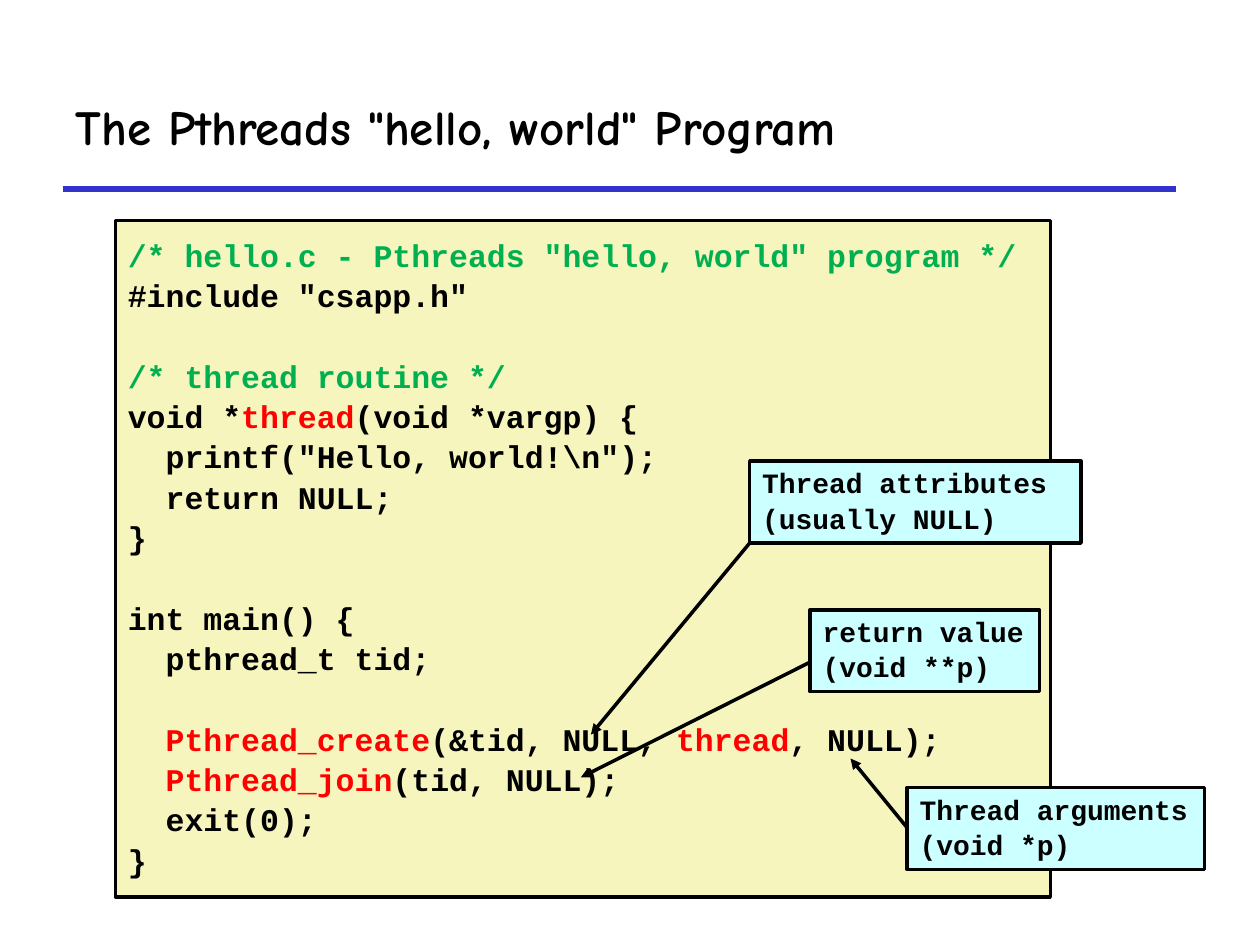
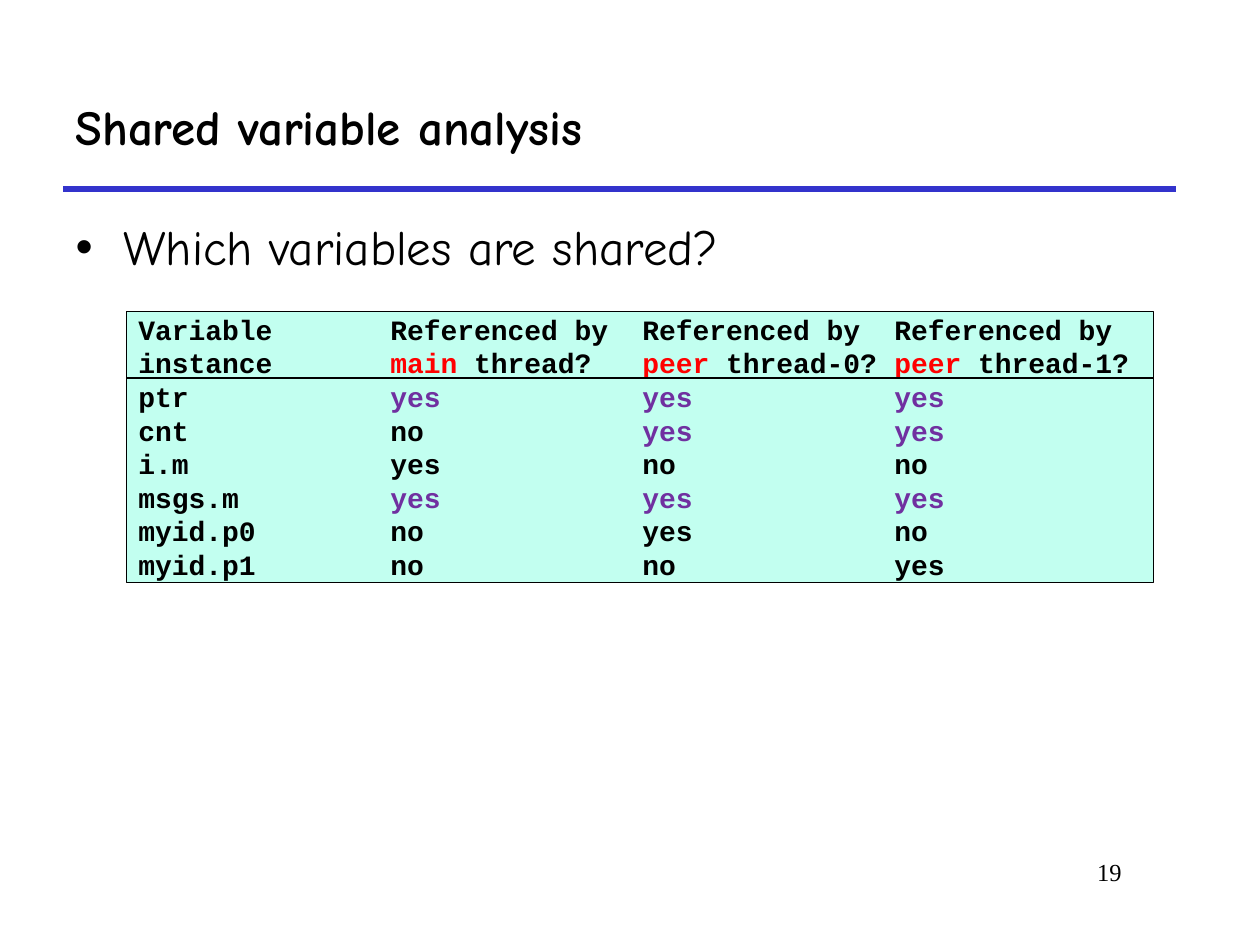
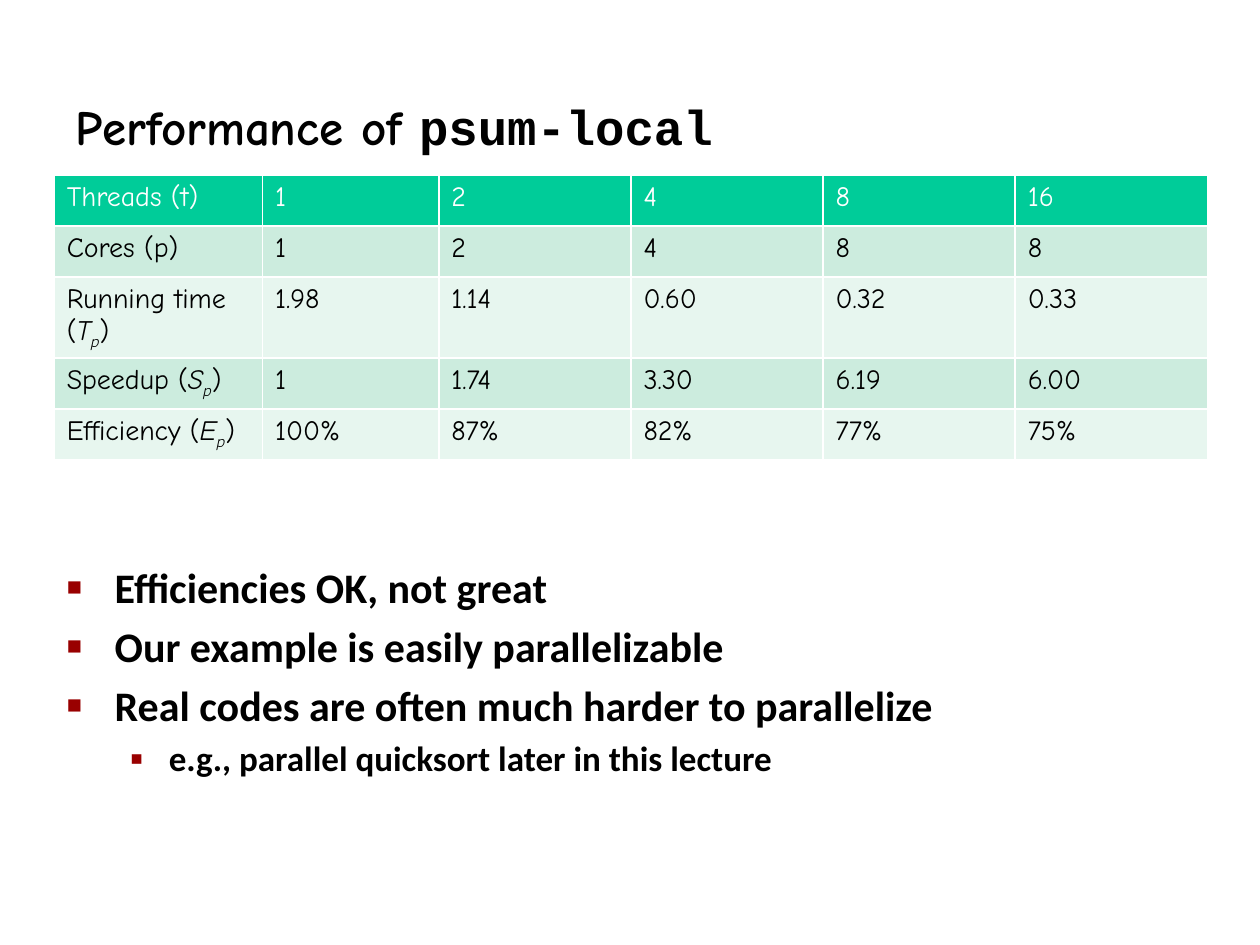
from lxml.etree import SubElement
from pptx import Presentation
from pptx.dml.color import RGBColor
from pptx.enum.shapes import MSO_CONNECTOR, MSO_SHAPE
from pptx.enum.text import MSO_ANCHOR, MSO_AUTO_SIZE, PP_ALIGN
from pptx.oxml.ns import qn
from pptx.util import Inches, Pt

COLORS = {
    "black": "000000", "white": "FFFFFF", "rule": "3333CC", "red": "FF0000",
    "green": "00B050", "purple": "7030A0", "code": "F6F5BD", "note": "CCFFFF",
    "analysis": "C2FFF0", "bullet": "990000",
    "head": "00CC99", "odd": "CCECDE", "even": "E7F6EF",
}
COMIC, MONO, TIMES, SANS = "Comic Neue", "Courier New", "Times New Roman", "Calibri"
RED, GREEN, PURPLE = ({"color": c} for c in ("red", "green", "purple"))
TITLE = dict(font=COMIC, size=28, bold=True)


def write(tf, runs, font=COMIC, size=16, color="black", bold=False, align=PP_ALIGN.LEFT,
          before=0, pitch=None, left=0, hang=0, bullet=None):
    """Add a paragraph; runs is a string or a list of (text, overrides)."""
    p = tf.add_paragraph() if tf.text else tf.paragraphs[0]
    p.alignment, p.space_before, p.space_after = align, Pt(before), Pt(0)
    if pitch:
        p.line_spacing = Pt(pitch)
    pPr = p._p.get_or_add_pPr()
    pPr.set("marL", str(Inches(left)))
    pPr.set("indent", str(-Inches(hang)))
    if bullet:
        char, bullet_color, percent = bullet
        clr = SubElement(pPr, qn("a:buClr"))
        SubElement(clr, qn("a:srgbClr"), val=COLORS[bullet_color])
        SubElement(pPr, qn("a:buSzPct"), val=str(percent * 1000))
        SubElement(pPr, qn("a:buFont"), typeface="Arial")
        SubElement(pPr, qn("a:buChar"), char=char)
    for text, own in [(runs, {})] if isinstance(runs, str) else runs:
        r = p.add_run()
        r.text = text
        r.font.name, r.font.size = own.get("font", font), Pt(size)
        r.font.bold, r.font.italic = bold, own.get("italic", False)
        r.font.color.rgb = RGBColor.from_string(COLORS[own.get("color", color)])
        if "base" in own:
            r.font._element.set("baseline", str(own["base"] * 1000))


def style(sp, width, color="black", fill=None, arrow=False):
    """Give a shape or connector its outline and fill, without a shadow."""
    if fill:
        sp.fill.solid()
        sp.fill.fore_color.rgb = RGBColor.from_string(COLORS[fill])
        sp.text_frame.word_wrap = True
        sp.text_frame.vertical_anchor = MSO_ANCHOR.MIDDLE
    sp.line.color.rgb = RGBColor.from_string(COLORS[color])
    sp.line.width = Pt(width)
    if arrow:
        SubElement(sp.line._get_or_add_ln(), qn("a:tailEnd"), type="triangle")
    SubElement(sp.element.spPr, qn("a:effectLst"))


prs = Presentation()
prs.slide_width, prs.slide_height = Inches(10), Inches(7.5)
U = prs.slide_width // 1000  # grid unit: a thousandth of the slide's width

# Shared title place, tab distance and rule
master = prs.slide_master
title = master.placeholders[0]
title.left, title.top, title.width, title.height = [U * n for n in (50, 50, 883, 100)]
title.text_frame.vertical_anchor = MSO_ANCHOR.MIDDLE
title.text_frame.auto_size = MSO_AUTO_SIZE.NONE
for root in (prs.element, master.element):
    for level in root.xpath("//*[@defTabSz]"):
        level.set("defTabSz", str(Inches(2)))

# Slides with their titles
titles = [
    (5, 'The Pthreads "hello, world" Program'),
    (1, "Shared variable analysis"),
    (1, [("Performance of ", {}), ("psum-local", {"font": MONO})]),
]
slides = []
for layout, text in titles:
    s = prs.slides.add_slide(prs.slide_layouts[layout])
    write(s.shapes.title.text_frame, text, **TITLE)
    slides.append(s)
hello, shared, psum = slides

rule = hello.shapes.add_connector(MSO_CONNECTOR.STRAIGHT, *[U * n for n in (50, 150, 933, 150)])
style(rule, 3, "rule")
master.shapes.element.append(rule.element)

# Slide 1: program listing, as (blank line above, indented, runs)
code = [
    (0, 0, [('/* hello.c - Pthreads "hello, world" program */', GREEN)]),
    (0, 0, '#include "csapp.h"'),
    (1, 0, [("/* thread routine */", GREEN)]),
    (0, 0, [("void *", {}), ("thread", RED), ("(void *vargp) {", {})]),
    (0, 1, 'printf("Hello, world!\\n");'),
    (0, 1, "return NULL;"),
    (0, 0, "}"),
    (1, 0, "int main() {"),
    (0, 1, "pthread_t tid;"),
    (1, 1, [("Pthread_create", RED), ("(&tid, NULL, ", {}), ("thread", RED), (", NULL);", {})]),
    (0, 1, [("Pthread_join", RED), ("(tid, NULL);", {})]),
    (0, 1, "exit(0);"),
    (0, 0, "}"),
]
sp = hello.shapes.add_shape(MSO_SHAPE.RECTANGLE, *[int(U * n) for n in (91.6, 175, 742, 537)])
style(sp, 2, fill="code")
for blank, indent, runs in code:
    write(sp.text_frame, runs, font=MONO, size=18, bold=True, pitch=19.5,
          before=3.55 + 23.05 * blank, left=0.3 * indent)

# Slide 1: callouts and their arrows
callouts = [
    (595, 366, 263, ["Thread attributes", "(usually NULL)"], (595, 431, 469, 583)),
    (720, 625, 236, ["Thread arguments", "(void *p)"], (720, 657, 675, 602)),
    (643, 484, 182, ["return value", "(void **p)"], (642, 526, 461, 617)),
]
for x, y, w, lines, ends in callouts:
    sp = hello.shapes.add_shape(MSO_SHAPE.RECTANGLE, *[U * n for n in (x, y, w, 65)])
    style(sp, 2, fill="note")
    for line in lines:
        write(sp.text_frame, line, font=MONO, bold=True, pitch=17, before=3.2)
    arrow = hello.shapes.add_connector(MSO_CONNECTOR.STRAIGHT, *[U * n for n in ends])
    style(arrow, 2, arrow=True)

# Slide 2: question and page number
body = shared.placeholders[1]
body.left, body.top, body.width, body.height = [U * n for n in (50, 167, 892, 83)]
write(body.text_frame, "Which variables are shared?", size=28, left=0.38, hang=0.38,
      before=5.6, bullet=("•", "black", 100))
number = shared.shapes.add_textbox(*[U * n for n in (758, 675, 142, 50)])
number.text_frame.word_wrap = True
write(number.text_frame, "19", font=TIMES, size=14, align=PP_ALIGN.RIGHT)

# Slide 2: tabbed analysis
analysis = [
    "Variable\tReferenced by\tReferenced by\tReferenced by",
    [("instance\t", {}), ("main", RED), (" thread?\t", {}), ("peer", RED),
     (" thread-0?\t", {}), ("peer", RED), (" thread-1?", {})],
    [("ptr\t", {}), ("yes\tyes\tyes", PURPLE)],
    [("cnt\tno\t", {}), ("yes\tyes", PURPLE)],
    "i.m\tyes\tno\tno",
    [("msgs.m\t", {}), ("yes\tyes\tyes", PURPLE)],
    "myid.p0\tno\tyes\tno",
    "myid.p1\tno\tno\tyes",
]
sp = shared.shapes.add_shape(MSO_SHAPE.RECTANGLE, *[U * n for n in (100, 247, 815, 215)])
style(sp, 0.25, fill="analysis")
sp.text_frame.margin_top = sp.text_frame.margin_bottom = 0
for runs in analysis:
    write(sp.text_frame, runs, font=MONO, bold=True, pitch=19.2)
divider = shared.shapes.add_connector(MSO_CONNECTOR.STRAIGHT, *[U * n for n in (100, 300, 915, 300)])
style(divider, 0.75)

# Slide 3: measurements, where a pair is a label and its subscripted symbol
rows = [
    ("Threads (t)", "1", "2", "4", "8", "16"),
    ("Cores (p)", "1", "2", "4", "8", "8"),
    (("Running time (", "T"), "1.98", "1.14", "0.60", "0.32", "0.33"),
    (("Speedup (", "S"), "1", "1.74", "3.30", "6.19", "6.00"),
    (("Efficiency (", "E"), "100%", "87%", "82%", "77%", "75%"),
]
frame = psum.shapes.add_table(len(rows), len(rows[0]), *[U * n for n in (43, 139, 915, 226)])
table = frame.table
for column, w in zip(table.columns, [165.3, 140] + [152.5] * 4):
    column.width = int(U * w)
for i, row in enumerate(rows):
    table.rows[i].height = int(U * (64 if i == 2 else 40.5))
    fill = "head" if i == 0 else "odd" if i % 2 else "even"
    for cell, value in zip(table.rows[i].cells, row):
        cell.fill.solid()
        cell.fill.fore_color.rgb = RGBColor.from_string(COLORS[fill])
        if isinstance(value, tuple):
            label, symbol = value
            value = [(label, {}), (symbol, {"italic": True}),
                     ("p", {"italic": True, "base": -25}), (")", {})]
        write(cell.text_frame, value, color="black" if i else "white")

# Slide 3: conclusions
body = psum.placeholders[1]
body.left, body.top, body.width, body.height = [U * n for n in (43, 441, 864, 192)]
for text in ("Efficiencies OK, not great", "Our example is easily parallelizable",
             "Real codes are often much harder to parallelize"):
    write(body.text_frame, text, font=SANS, size=24, bold=True, before=4.8,
          left=0.38, hang=0.38, bullet=("■", "bullet", 60))
write(body.text_frame, "e.g., parallel quicksort later in this lecture", font=SANS, size=20,
      bold=True, before=4, left=0.81, hang=0.31, bullet=("▪", "bullet", 110))
body.text_frame.paragraphs[-1].level = 1

prs.save("out.pptx")
